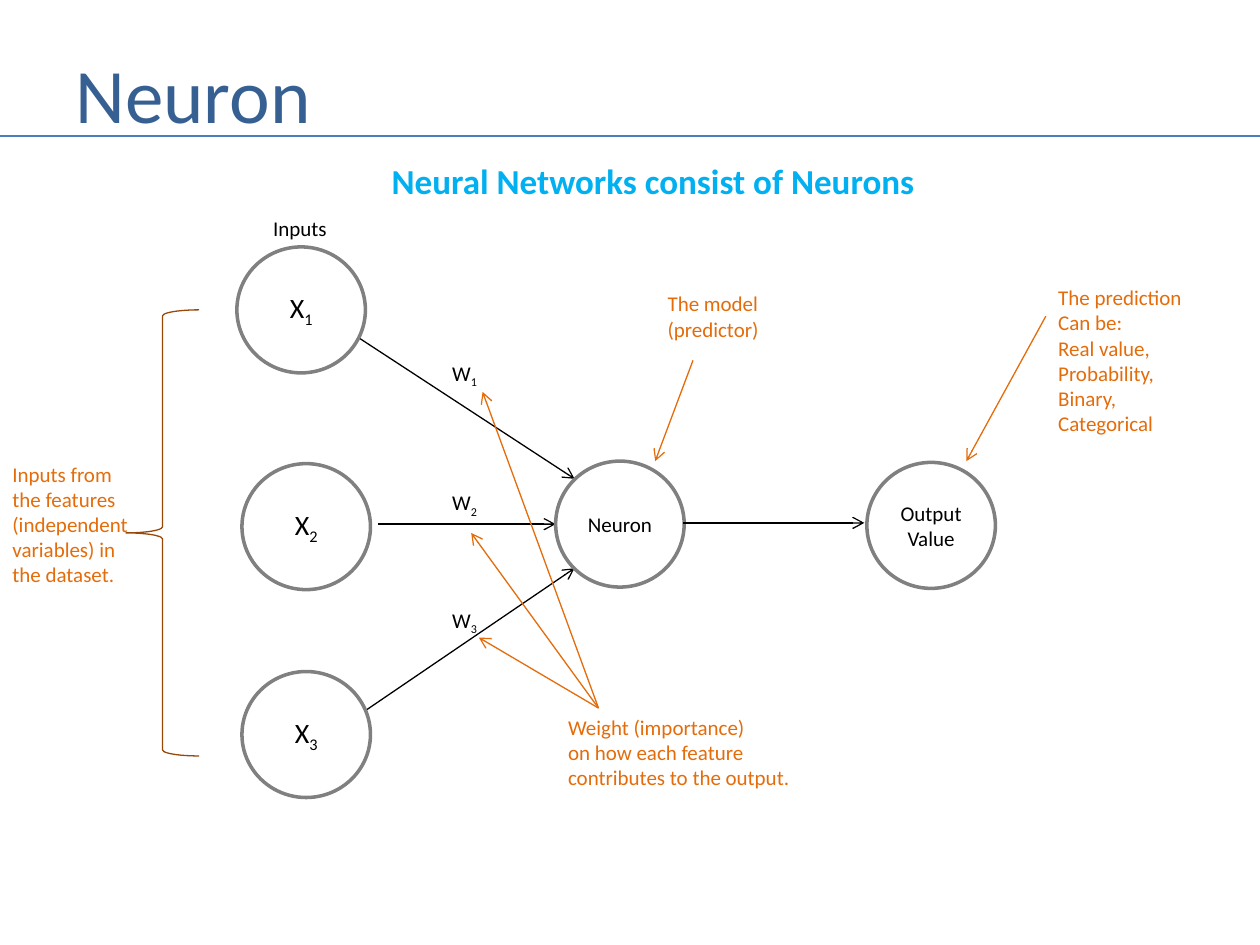
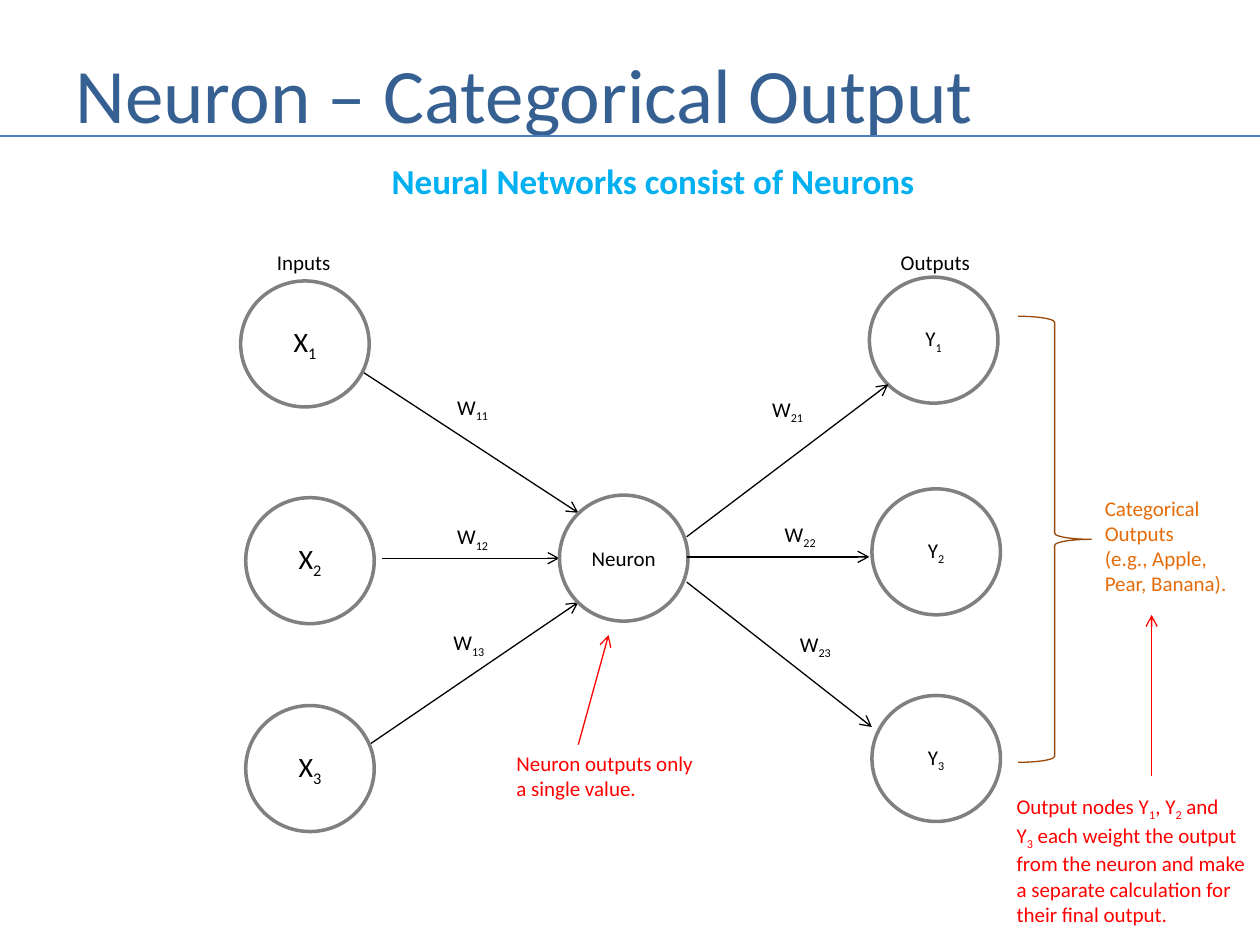
"""Build two slides that explain a neuron with one output and with categorical outputs."""
from lxml import etree
from pptx import Presentation
from pptx.dml import color
from pptx.enum import shapes, text
from pptx.oxml import ns
from pptx.util import Inches, Pt

COLORS = {
    "title": "376092", "rule": "4B7EBC", "heading": "00B0F0", "ring": "808080",
    "ink": "000000", "paper": "FFFFFF", "brace": "984807", "note": "E46C0A", "alert": "FF0000",
}
FONT = "Calibri"
NODE_SIZE = (1.02, 1)


def rgb(name):
    return color.RGBColor.from_string(COLORS[name])


def write(frame, content, size=12, ink="ink", bold=False, align=text.PP_ALIGN.LEFT,
          anchor=text.MSO_ANCHOR.TOP, autosize=text.MSO_AUTO_SIZE.NONE, wrap=False):
    """Write lines; a tilde pair encloses a subscript and a vertical tab breaks a line."""
    frame.word_wrap = wrap
    frame.auto_size = autosize
    frame.vertical_anchor = anchor
    for row, line in enumerate(content.split("\n")):
        paragraph = frame.add_paragraph() if row else frame.paragraphs[0]
        paragraph.alignment = align
        for part, segment in enumerate(line.split("\v")):
            if part:
                paragraph.add_line_break()
            for position, wording in enumerate(segment.split("~")):
                if not wording:
                    continue
                run = paragraph.add_run()
                run.text = wording
                run.font.name, run.font.size, run.font.bold = FONT, Pt(size), bold
                run.font.color.rgb = rgb(ink)
                if position % 2:
                    run.font._element.set("baseline", "-25000")


def label(slide, content, left, top, width, height=0.3, **style):
    box = slide.shapes.add_textbox(*map(Inches, (left, top, width, height)))
    write(box.text_frame, content, autosize=text.MSO_AUTO_SIZE.SHAPE_TO_FIT_TEXT, **style)


def node(slide, content, left, top, size=12):
    circle = slide.shapes.add_shape(
        shapes.MSO_SHAPE.OVAL, *map(Inches, (left, top, *NODE_SIZE)))
    circle.shadow.inherit = False
    circle.fill.solid()
    circle.fill.fore_color.rgb = rgb("paper")
    circle.line.color.rgb = rgb("ring")
    circle.line.width = Pt(2)
    write(circle.text_frame, content, size=size, align=text.PP_ALIGN.CENTER,
          anchor=text.MSO_ANCHOR.MIDDLE)


def line(slide, start, end, ink="ink", width=0.75, arrow=True):
    connector = slide.shapes.add_connector(
        shapes.MSO_CONNECTOR.STRAIGHT, *map(Inches, (*start, *end)))
    connector.line.color.rgb = rgb(ink)
    connector.line.width = Pt(width)
    properties = connector.element.spPr
    if arrow:
        stroke = properties.find(ns.qn("a:ln"))
        etree.SubElement(stroke, ns.qn("a:tailEnd")).set("type", "arrow")
    etree.SubElement(properties, ns.qn("a:effectLst"))


def brace(slide, left, top, rotation=0):
    bracket = slide.shapes.add_shape(
        shapes.MSO_SHAPE.LEFT_BRACE, *map(Inches, (left, top, 0.58, 3.54)))
    bracket.shadow.inherit = False
    bracket.fill.background()
    bracket.line.color.rgb = rgb("brace")
    bracket.line.width = Pt(0.75)
    bracket.rotation = rotation


def start_slide(deck, heading):
    slide = deck.slides.add_slide(deck.slide_layouts[5])
    title = slide.shapes.title
    title.left, title.top, title.width, title.height = map(Inches, (0.5, 0.3, 9.08, 0.87))
    write(title.text_frame, heading, size=44, ink="title",
          anchor=text.MSO_ANCHOR.MIDDLE, wrap=True)
    line(slide, (0, 1.08), (10, 1.08), ink="rule", width=1.5, arrow=False)
    label(slide, "Neural Networks consist of Neurons", 3.01, 1.22, 4.39, 0.44,
          size=20, ink="heading", bold=True)
    return slide


def input_layer(slide, dx=0.0, dy=0.0):
    """Draw the inputs, their arrows and the neuron, shifted by an offset."""
    for start, end in (((2.83, 2.67), (4.56, 3.8)), ((3, 4.16), (4.41, 4.16)),
                       ((2.9, 5.64), (4.56, 4.51))):
        line(slide, (start[0] + dx, start[1] + dy), (end[0] + dx, end[1] + dy))
    for index, (left, top) in enumerate(((1.88, 1.96), (1.92, 3.68), (1.92, 5.33)), 1):
        node(slide, f"X~{index}~", left + dx, top + dy, size=16)
    node(slide, "Neuron", 4.41 + dx, 3.66 + dy)
    label(slide, "Inputs", 2.07 + dx, 1.66 + dy, 0.63)


def weights(slide, prefix, places, width):
    for index, (left, top) in enumerate(places, 1):
        label(slide, f"W~{prefix}{index}~", left, top, width)


def single_output_slide(deck):
    slide = start_slide(deck, "Neuron")
    input_layer(slide)
    weights(slide, "", ((3.49, 2.81), (3.49, 3.84), (3.49, 4.77)), 0.41)
    line(slide, (5.42, 4.15), (6.86, 4.15))
    node(slide, "Output\vValue", 6.88, 3.67)
    brace(slide, 1, 2.46)
    label(slide, "Inputs from\nthe features\n(independent\nvariables) in\nthe dataset.",
          0, 3.61, 1.12, 1.11, ink="note")
    label(slide, "Weight (importance)\non how each feature\ncontributes to the output.",
          4.41, 5.62, 1.99, 0.71, ink="note")
    for weight in ((3.83, 3.11), (3.74, 4.23), (3.8, 5.06)):
        line(slide, (4.75, 5.62), weight, ink="note")
    label(slide, "The model\v(predictor)", 5.2, 2.26, 0.93, 0.5, ink="note")
    line(slide, (5.5, 2.86), (5.2, 3.66), ink="note")
    label(slide, "The prediction\nCan be:\nReal value,\nProbability,\nBinary,\nCategorical",
          8.3, 2.21, 1.19, 1.31, ink="note")
    line(slide, (8.3, 2.51), (7.67, 3.66), ink="note")


def categorical_output_slide(deck):
    slide = start_slide(deck, "Neuron – Categorical Output")
    input_layer(slide, 0.03, 0.27)
    weights(slide, "1", ((3.53, 3.08), (3.53, 4.11), (3.5, 4.95)), 0.46)
    for index, (left, top) in enumerate(((6.9, 2.2), (6.92, 3.88), (6.92, 5.52)), 1):
        node(slide, f"Y~{index}~", left, top)
    for exit_y, output in ((4.26, (7.05, 3.05)), (4.42, (6.9, 4.42)), (4.62, (6.92, 5.77))):
        line(slide, (5.45, exit_y), output)
    weights(slide, "2", ((6.03, 3.1), (6.13, 4.09), (6.25, 4.96)), 0.46)
    label(slide, "Outputs", 7.05, 1.93, 0.76)
    brace(slide, 8.08, 2.51, rotation=180)
    label(slide, "Categorical\nOutputs\n(e.g., Apple,\vPear, Banana).",
          8.67, 3.88, 1.18, 0.91, ink="note")
    line(slide, (4.59, 5.91), (4.83, 5.04), ink="alert")
    label(slide, "Neuron outputs only\na single value.", 4, 5.91, 1.61, 0.5, ink="alert")
    label(slide, "Output nodes Y~1~, Y~2~ and\nY~3~ each weight the output\n"
          "from the neuron and make\na separate calculation for\ntheir final output.",
          7.97, 6.25, 2.06, 1.11, ink="alert")
    line(slide, (9.14, 6.16), (9.14, 4.88), ink="alert")


def main():
    deck = Presentation()
    deck.slide_width, deck.slide_height = Inches(10), Inches(7.5)
    single_output_slide(deck)
    categorical_output_slide(deck)
    deck.save("out.pptx")


main()
